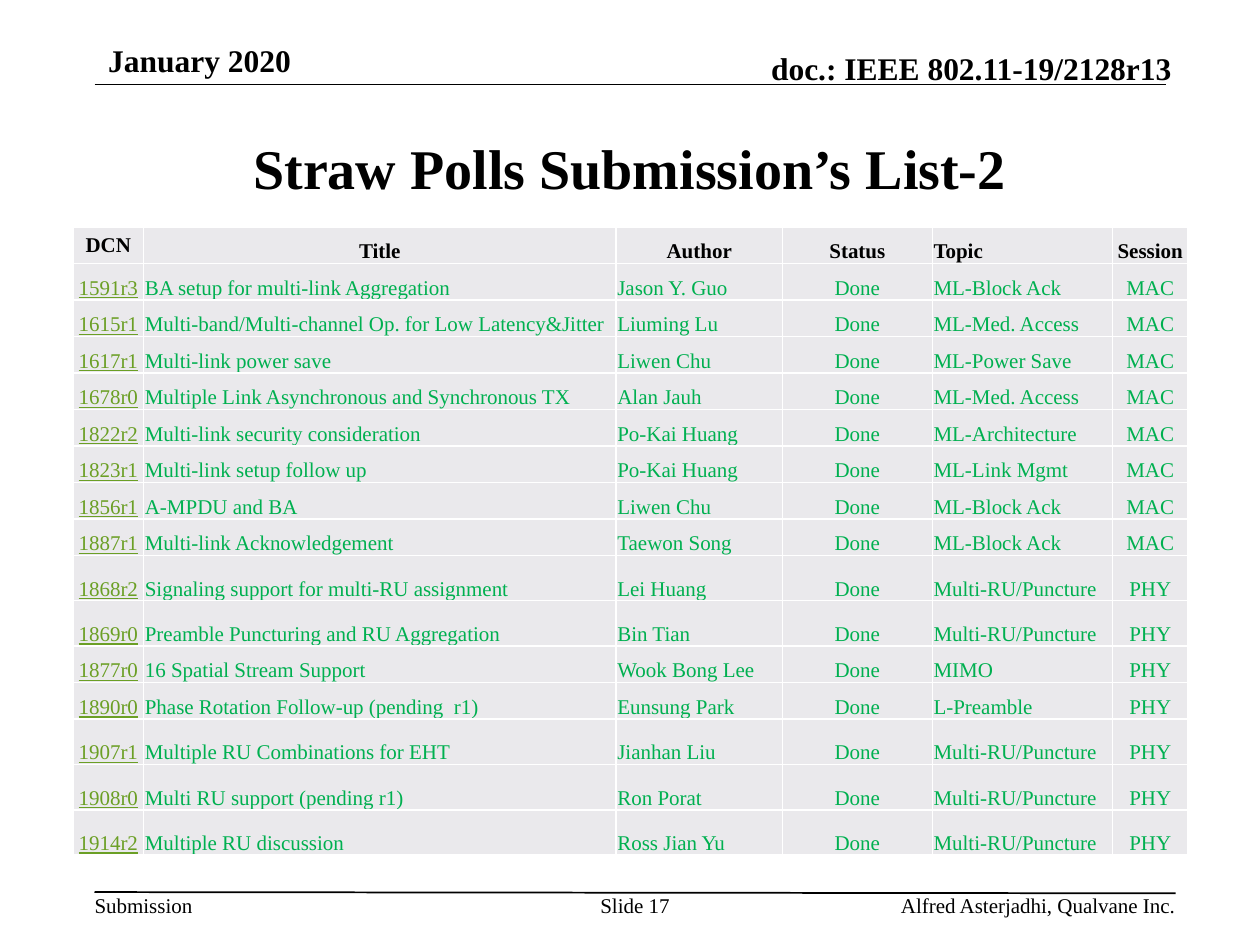
import dataclasses

import pptx
import pptx.dml.color
import pptx.enum.shapes
import pptx.enum.text
import pptx.oxml
import pptx.oxml.ns
import pptx.util
from pptx.util import Inches

ALIGN = pptx.enum.text.PP_ALIGN
ANCHOR = pptx.enum.text.MSO_ANCHOR


@dataclasses.dataclass(frozen=True)
class Theme:
    """Colours, typeface and type sizes of the slide."""
    font: str = "Times New Roman"
    ink: str = "000000"
    done: str = "00B050"
    link: str = "6B9F25"
    cell: str = "EAE9EC"
    border: str = "FFFFFF"
    title_size: int = 32
    header_size: int = 18
    small_size: int = 12
    line_width: int = 1


THEME = Theme()
HEADINGS = ("DCN", "Title", "Author", "Status", "Topic", "Session")
COLUMN_WIDTHS = (0.56, 3.75, 1.32, 1.19, 1.43, 0.6)
COLUMN_ALIGNMENTS = (ALIGN.CENTER, ALIGN.LEFT, ALIGN.LEFT, ALIGN.CENTER, ALIGN.LEFT, ALIGN.CENTER)
ROW_HEIGHT, TALL_ROW_HEIGHT = 0.29, 0.36
TALL_TOPIC = "Multi-RU/Puncture"
STATUS = "Done"
SUBMISSIONS = {
    "MAC": (
        ("1591r3", "BA setup for multi-link Aggregation", "Jason Y. Guo", "ML-Block Ack"),
        ("1615r1", "Multi-band/Multi-channel Op. for Low Latency&Jitter", "Liuming Lu", "ML-Med. Access"),
        ("1617r1", "Multi-link power save", "Liwen Chu", "ML-Power Save"),
        ("1678r0", "Multiple Link Asynchronous and Synchronous TX", "Alan Jauh", "ML-Med. Access"),
        ("1822r2", "Multi-link security consideration", "Po-Kai Huang", "ML-Architecture"),
        ("1823r1", "Multi-link setup follow up", "Po-Kai Huang", "ML-Link Mgmt"),
        ("1856r1", "A-MPDU and BA", "Liwen Chu", "ML-Block Ack"),
        ("1887r1", "Multi-link Acknowledgement", "Taewon Song", "ML-Block Ack"),
    ),
    "PHY": (
        ("1868r2", "Signaling support for multi-RU assignment", "Lei Huang", TALL_TOPIC),
        ("1869r0", "Preamble Puncturing and RU Aggregation", "Bin Tian", TALL_TOPIC),
        ("1877r0", "16 Spatial Stream Support", "Wook Bong Lee", "MIMO"),
        ("1890r0", "Phase Rotation Follow-up (pending  r1)", "Eunsung Park", "L-Preamble"),
        ("1907r1", "Multiple RU Combinations for EHT", "Jianhan Liu", TALL_TOPIC),
        ("1908r0", "Multi RU support (pending r1)", "Ron Porat", TALL_TOPIC),
        ("1914r2", "Multiple RU discussion", "Ross Jian Yu", TALL_TOPIC),
    ),
}


def write_run(text_frame, text, size, color=THEME.ink, bold=False, underline=False, alignment=ALIGN.LEFT):
    """Add one formatted run to the first paragraph of a text frame."""
    paragraph = text_frame.paragraphs[0]
    paragraph.alignment = alignment
    run = paragraph.add_run()
    run.text = text
    run.font.name = THEME.font
    run.font.size = pptx.util.Pt(size)
    run.font.bold = bold
    run.font.underline = underline
    run.font.color.rgb = pptx.dml.color.RGBColor.from_string(color)


def set_margins(holder, left, top, right, bottom):
    """Set the inner margins of a text frame or table cell."""
    holder.margin_left, holder.margin_top = Inches(left), Inches(top)
    holder.margin_right, holder.margin_bottom = Inches(right), Inches(bottom)


def add_label(slide, box, text, size, margins=(0, 0, 0, 0), anchor=ANCHOR.TOP, wrap=True, **style):
    """Place a text box holding one run."""
    text_frame = slide.shapes.add_textbox(*map(Inches, box)).text_frame
    text_frame.word_wrap = wrap
    text_frame.vertical_anchor = anchor
    set_margins(text_frame, *margins)
    write_run(text_frame, text, size, **style)


def add_rule(slide, start, end):
    """Draw a thin straight line without a shadow."""
    rule = slide.shapes.add_connector(
        pptx.enum.shapes.MSO_CONNECTOR.STRAIGHT, *map(Inches, start + end))
    rule.line.color.rgb = pptx.dml.color.RGBColor.from_string(THEME.ink)
    rule.line.width = pptx.util.Pt(THEME.line_width)
    rule._element.spPr.append(pptx.oxml.parse_xml(
        f'<a:effectLst {pptx.oxml.ns.nsdecls("a")}/>'))


def add_header(slide, box):
    """Place the date, the document number and the rule below them."""
    left, top, width, height = box
    bottom = top + height
    add_rule(slide, (left, bottom), (left + width, bottom))
    add_label(slide, (left + 4.72, top + 0.11, width - 4.67, 0.3), "doc.: IEEE 802.11-19/2128r13",
              THEME.header_size, anchor=ANCHOR.BOTTOM, bold=True, alignment=ALIGN.RIGHT)
    add_label(slide, (left + 0.01, top, 2.52, 0.3), "January 2020",
              THEME.header_size, margins=(0.1, 0.05, 0.1, 0.05), bold=True)


def add_title(slide, box):
    """Move and fill the title placeholder."""
    title = slide.shapes.title
    title.left, title.top, title.width, title.height = map(Inches, box)
    text_frame = title.text_frame
    text_frame.word_wrap = True
    text_frame.vertical_anchor = ANCHOR.MIDDLE
    set_margins(text_frame, 0.1, 0.05, 0.1, 0.05)
    write_run(text_frame, "Straw Polls Submission’s List-2", THEME.title_size,
              bold=True, alignment=ALIGN.CENTER)


def add_footer(slide, box):
    """Place the footer rule and its three labels."""
    left, top, width, height = box
    right = left + width
    add_rule(slide, (left, top), (right, top + 0.01))
    add_label(slide, (left, top, 0.78, height), "Submission", THEME.small_size, wrap=False)
    add_label(slide, (left + 4, top, 0.58, height), "Slide 17", THEME.small_size,
              alignment=ALIGN.CENTER)
    add_label(slide, (right - 3.48, top, 3.48, height), "Alfred Asterjadhi, Qualvane Inc.",
              THEME.small_size, alignment=ALIGN.RIGHT)


def format_cell(cell):
    """Give a cell its borders, fill and margins."""
    properties = cell._tc.get_or_add_tcPr()
    for side in ("lnL", "lnR", "lnT", "lnB"):
        properties.append(pptx.oxml.parse_xml(
            f'<a:{side} {pptx.oxml.ns.nsdecls("a")} w="{pptx.util.Pt(THEME.line_width)}">'
            f'<a:solidFill><a:srgbClr val="{THEME.border}"/></a:solidFill></a:{side}>'))
    cell.fill.solid()
    cell.fill.fore_color.rgb = pptx.dml.color.RGBColor.from_string(THEME.cell)
    set_margins(cell, 0.01, 0.01, 0.01, 0)
    cell.vertical_anchor = ANCHOR.BOTTOM


def add_submission_table(slide, box):
    """Build the table of submissions, grouped by session."""
    records = [HEADINGS] + [
        (number, title, author, STATUS, topic, session)
        for session, entries in SUBMISSIONS.items()
        for number, title, author, topic in entries]
    table = slide.shapes.add_table(len(records), len(HEADINGS), *map(Inches, box)).table
    table.first_row = table.horz_banding = False
    for column, width in zip(table.columns, COLUMN_WIDTHS):
        column.width = Inches(width)
    for row_index, (row, record) in enumerate(zip(table.rows, records)):
        row.height = Inches(TALL_ROW_HEIGHT if TALL_TOPIC in record else ROW_HEIGHT)
        for column_index, (cell, text) in enumerate(zip(row.cells, record)):
            format_cell(cell)
            alignment = COLUMN_ALIGNMENTS[column_index]
            if row_index == 0:
                style = dict(bold=True)
                if text in ("Title", "Author"):
                    alignment = ALIGN.CENTER
            elif column_index == 0:
                style = dict(color=THEME.link, underline=True)
            else:
                style = dict(color=THEME.done)
            write_run(cell.text_frame, text, THEME.small_size, alignment=alignment, **style)
    table.cell(0, 0).vertical_anchor = ANCHOR.MIDDLE


def main():
    """Build and save the presentation."""
    presentation = pptx.Presentation()
    presentation.slide_width, presentation.slide_height = Inches(10), Inches(7.5)
    slide = presentation.slides.add_slide(presentation.slide_layouts[5])
    add_header(slide, (0.75, 0.28, 8.5, 0.39))
    add_title(slide, (0.75, 0.75, 8.5, 1.16))
    add_submission_table(slide, (0.58, 1.8, 8.83, 4.99))
    add_footer(slide, (0.75, 7.08, 8.58, 0.2))
    presentation.save("out.pptx")


if __name__ == "__main__":
    main()
